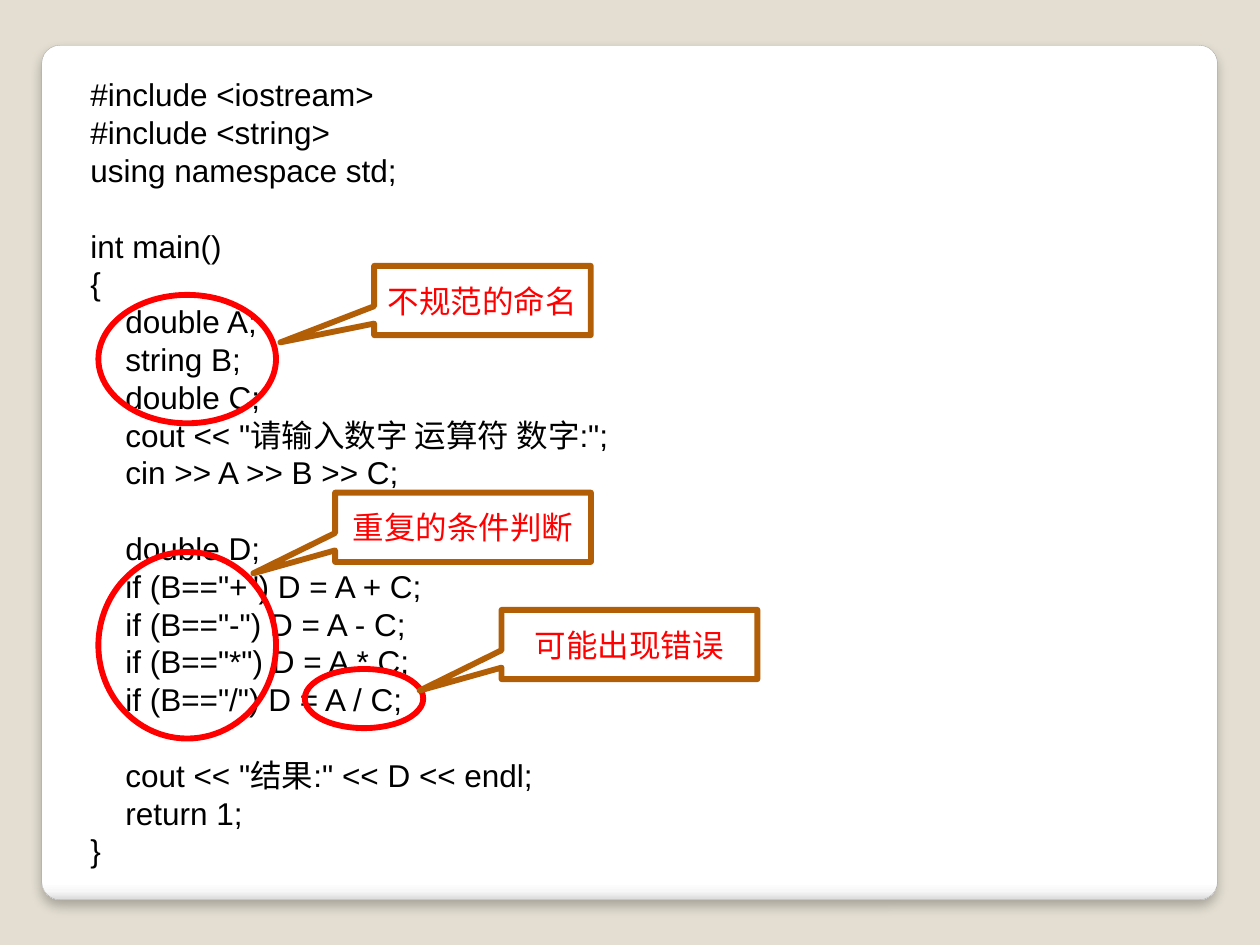
from lxml import etree
from pptx import Presentation
from pptx.dml.color import RGBColor
from pptx.enum.shapes import MSO_SHAPE as Shape
from pptx.enum.text import MSO_ANCHOR as Anchor, PP_ALIGN as Align
from pptx.oxml import parse_xml
from pptx.oxml.ns import nsdecls, qn
from pptx.util import Pt

COLOURS = {"background": "E3DED1", "edge": "A4A4A4", "code": "000000",
           "mark": "FF0000", "callout": "B25E07"}
PANEL_STOPS = [(0, "FFFFFF"), (98, "FFFFFF"), (99, "F7F7F7"), (100, "DADADA")]
LINE_PITCH = 21.6
INDENT = 20
CODE_BLOCKS = [
    [(0, "#include <iostream>"), (0, "#include <string>"),
     (0, "using namespace std;")],
    [(0, "int main()"), (0, "{"), (1, "double A;"), (1, "string B;"),
     (1, "double C;"), (1, 'cout << "请输入数字 运算符 数字:";'.replace(":", ":")),
     (1, "cin >> A >> B >> C;")],
    [(1, "double D;")] + [(1, f'if (B=="{sign}") D = A {sign} C;') for sign in "+-*/"],
    [(1, 'cout << "结果:" << D << endl;'.replace(":", ":")), (1, "return 1;"), (0, "}")],
]
ELLIPSES = [(56.2, 168.5, 101.5, 73.4), (56.2, 315.4, 101.5, 106.6),
            (174.2, 382.3, 67.7, 33.8)]
CALLOUTS = [
    ("不规范的命名", 213.8, 151.9, 123.8, (-0.933, 0.605)),
    ("重复的条件判断", 191.5, 281.5, 146.2, (-0.82, 0.665)),
    ("可能出现错误", 286.6, 348.5, 146.2, (-0.82, 0.665)),
]


def colour(name):
    """Return the named colour."""
    return RGBColor.from_string(COLOURS[name])


def format_runs(paragraph, font_name, colour_name):
    """Give every run of a paragraph the slide's text size, a font and a colour."""
    for run in paragraph.runs:
        run.font.size = Pt(18)
        run.font.name = font_name
        run.font.color.rgb = colour(colour_name)


def add_outline(slide, kind, box, line_name, width=3.35):
    """Add an unfilled preset shape with a coloured outline."""
    shape = slide.shapes.add_shape(kind, *map(Pt, box))
    shape.shadow.inherit = False
    shape.fill.background()
    shape.line.color.rgb = colour(line_name)
    shape.line.width = Pt(width)
    return shape


def add_panel(slide):
    """Add the rounded panel with its shaded lower edge and soft shadow."""
    panel = add_outline(slide, Shape.ROUNDED_RECTANGLE,
                        (23.9, 25.9, 671.8, 488.2), "edge", 0.16)
    panel.adjustments[0] = 0.021
    panel.fill.gradient()
    panel.fill.gradient_angle = 270
    properties = panel.element.spPr
    stops = properties.find(".//" + qn("a:gsLst"))
    for stop in list(stops):
        stops.remove(stop)
    for position, value in PANEL_STOPS:
        stop = etree.SubElement(stops, qn("a:gs"), pos=str(position * 1000))
        etree.SubElement(stop, qn("a:srgbClr"), val=value)
    properties.find(qn("a:effectLst")).append(parse_xml(
        f'<a:outerShdw {nsdecls("a")} blurRad="{Pt(6)}" dist="{Pt(4)}" '
        'dir="5400000" algn="t" rotWithShape="0"><a:srgbClr val="000000">'
        '<a:alpha val="25000"/></a:srgbClr></a:outerShdw>'))


def add_code(slide):
    """Add the program listing with indents and gaps between its blocks."""
    box = slide.shapes.add_textbox(Pt(44.6), Pt(39.6), Pt(624.2), Pt(465.1))
    frame = box.text_frame
    frame.word_wrap = True
    lines = [(level, text, index > 0 and row == 0)
             for index, block in enumerate(CODE_BLOCKS)
             for row, (level, text) in enumerate(block)]
    frame.text = "\n".join(text for _, text, _ in lines)
    for paragraph, (level, _, starts_block) in zip(frame.paragraphs, lines):
        paragraph.line_spacing = Pt(LINE_PITCH)
        paragraph.space_before = Pt(LINE_PITCH if starts_block else 0)
        format_runs(paragraph, "Arial", "code")
        properties = paragraph.runs[0].font._element.getparent().getparent().get_or_add_pPr()
        properties.set("marL", str(Pt(INDENT * level)))
        properties.set("indent", "0")


def add_callout(slide, text, left, top, width, tip):
    """Add a callout whose tip points at the marked code."""
    callout = add_outline(slide, Shape.RECTANGULAR_CALLOUT,
                          (left, top, width, 39.6), "callout")
    for index, value in enumerate(tip):
        callout.adjustments[index] = value
    frame = callout.text_frame
    frame.text = text
    frame.vertical_anchor = Anchor.MIDDLE
    frame.paragraphs[0].alignment = Align.CENTER
    format_runs(frame.paragraphs[0], "Open Sans", "mark")


def main():
    """Build and save the code review slide."""
    presentation = Presentation()
    presentation.slide_width, presentation.slide_height = Pt(720), Pt(540)
    slide = presentation.slides.add_slide(presentation.slide_layouts[6])
    slide.background.fill.solid()
    slide.background.fill.fore_color.rgb = colour("background")
    add_panel(slide)
    add_code(slide)
    for ellipse, callout in zip(ELLIPSES, CALLOUTS):
        add_outline(slide, Shape.OVAL, ellipse, "mark")
        add_callout(slide, *callout)
    presentation.save("out.pptx")


main()
